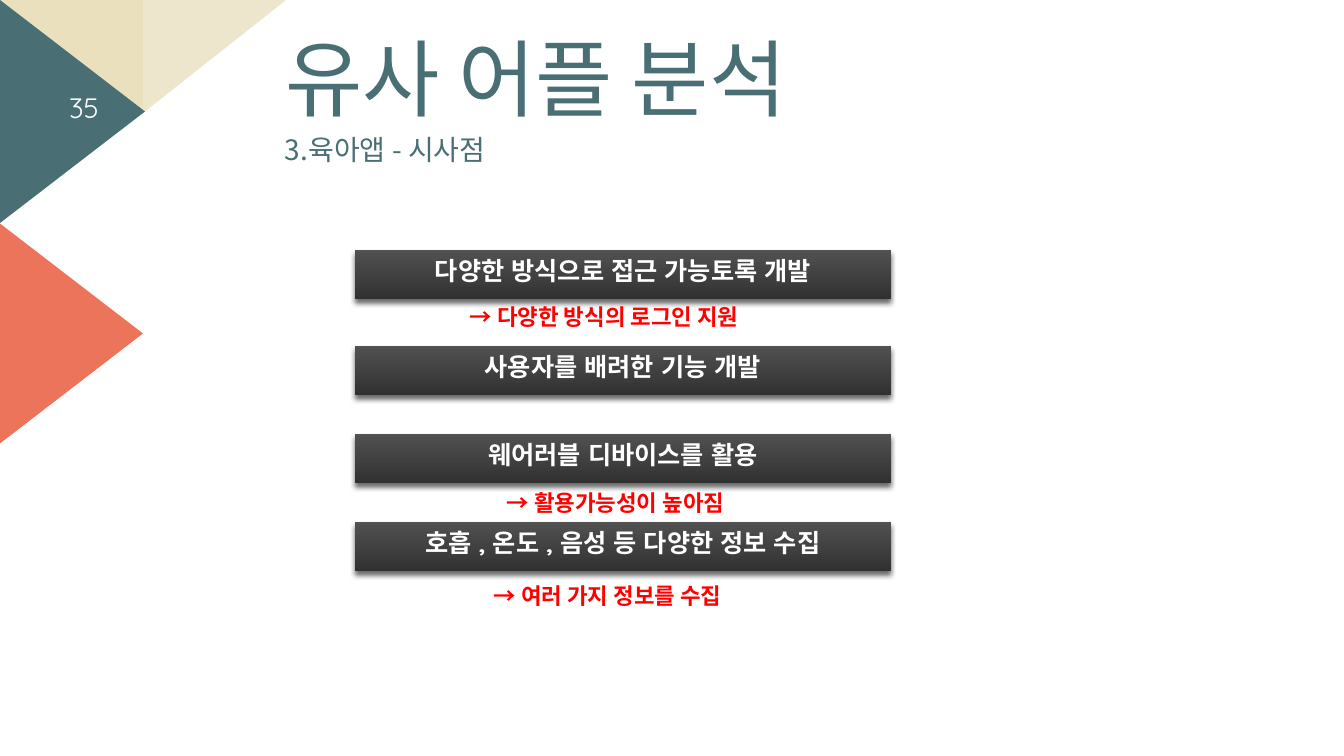
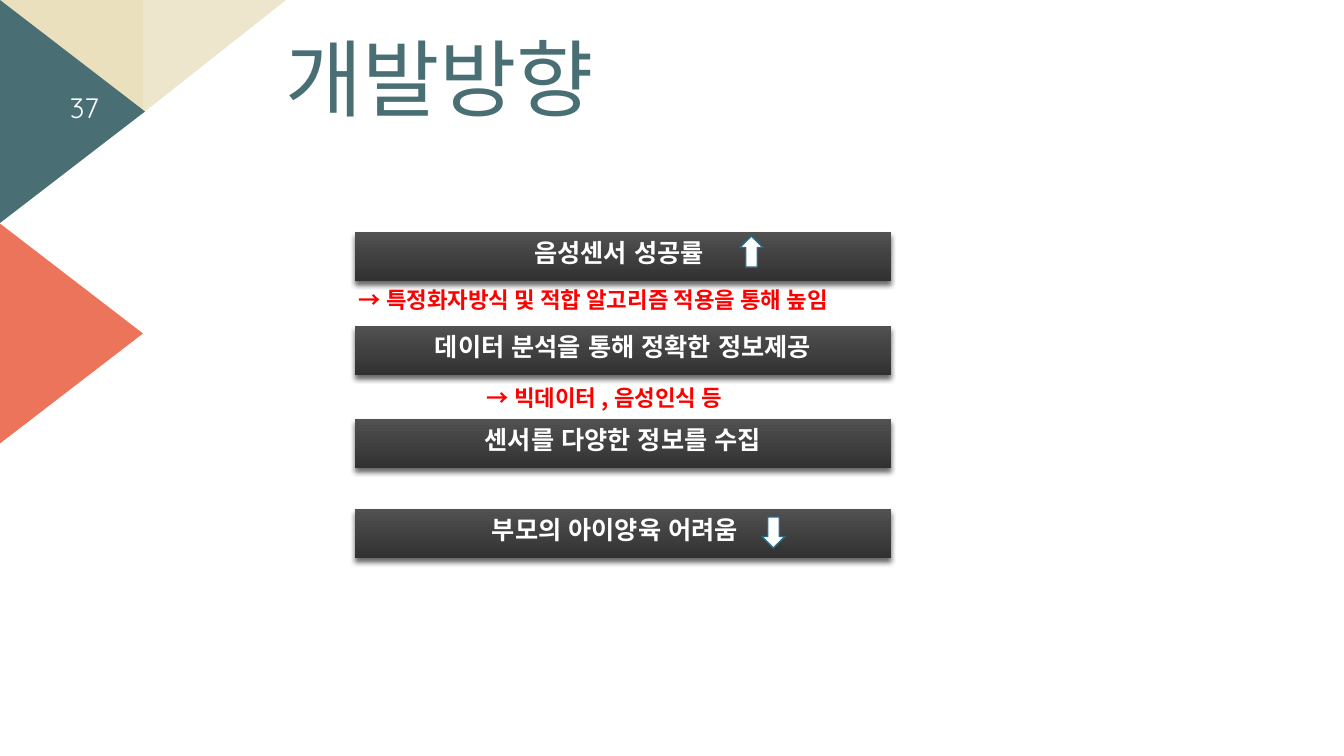
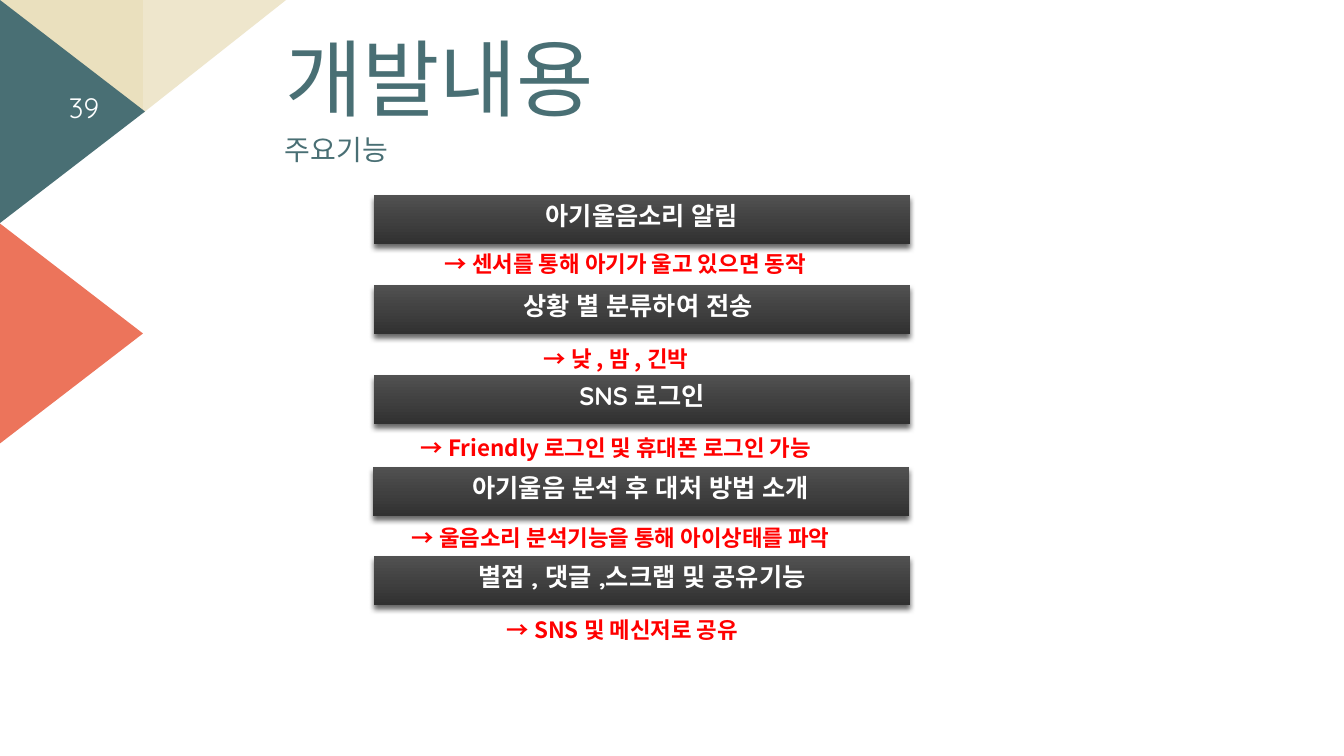
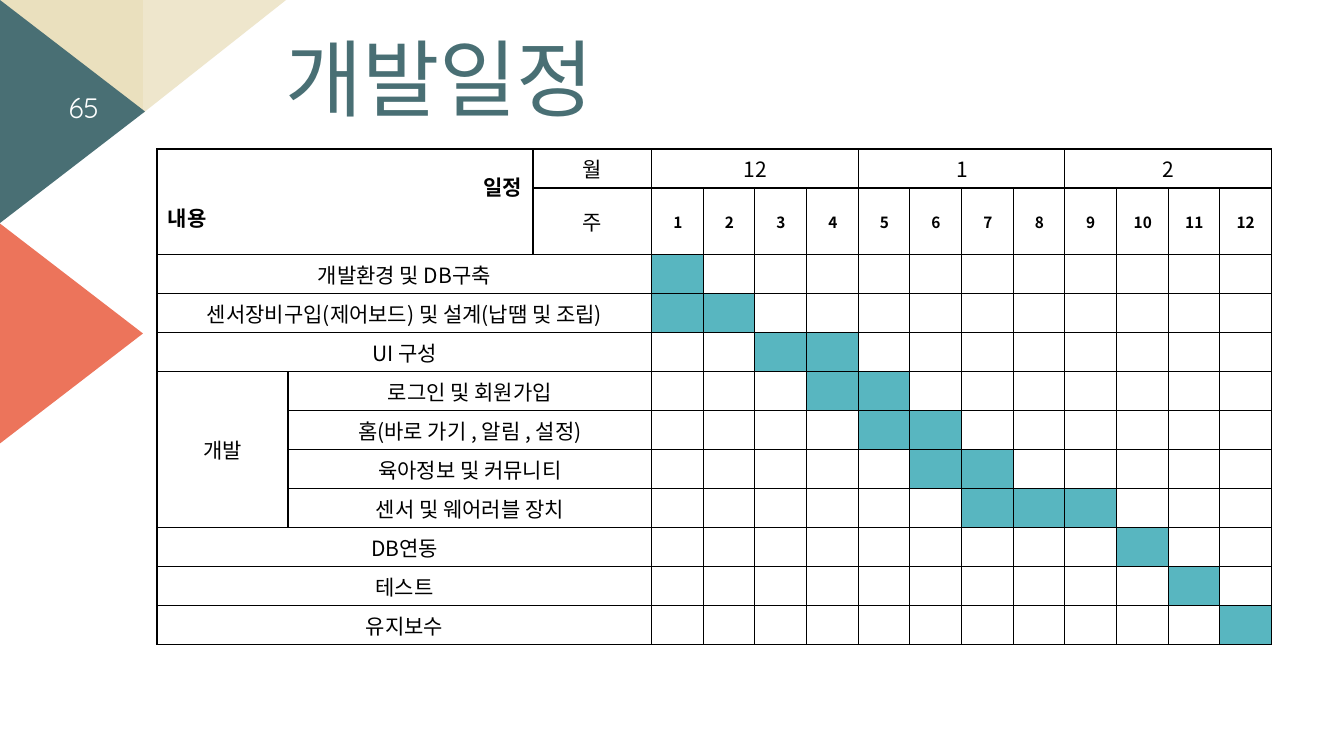
from dataclasses import dataclass
from typing import Optional

from lxml.etree import SubElement
from pptx import Presentation
from pptx.dml.color import RGBColor
from pptx.enum.shapes import MSO_SHAPE as Preset
from pptx.enum.text import MSO_ANCHOR as Anchor, MSO_AUTO_SIZE as AutoSize, PP_ALIGN as Align
from pptx.oxml.ns import qn
from pptx.util import Emu, Pt

SLIDE_WIDTH, SLIDE_HEIGHT = 1344, 756
EMU_PER_PX = 12192000 / SLIDE_WIDTH

COLORS = {
    "teal": "496F74",
    "coral": "EC745B",
    "sand": "EAE0BE",
    "pale_sand": "EEE6CC",
    "bar_top": "515151",
    "bar_bottom": "313131",
    "white": "FFFFFF",
    "number": "FEFFFF",
    "note": "FF0000",
    "arrow_line": "266D8A",
    "black": "000000",
    "schedule": "58B6C0",
}
KOREAN_FONT = "Noto Sans CJK KR"
LATIN_FONT = "Quicksand"
BAR_WIDTH, BAR_HEIGHT = 536, 49


@dataclass(frozen=True)
class Box:
    left: int
    top: int
    width: int
    height: int


@dataclass(frozen=True)
class TextStyle:
    size: int
    color: str
    font: str = KOREAN_FONT
    bold: bool = False
    align: Align = Align.LEFT
    line_spacing: Optional[float] = None


@dataclass(frozen=True)
class Corner:
    preset: Preset
    box: Box
    rotation: int
    color: str
    flipped: bool = False


@dataclass(frozen=True)
class Bar:
    text: str
    top: int
    left: int = 355
    extra_right_inset: int = 0


@dataclass(frozen=True)
class Note:
    text: str
    left: int
    top: int
    width: int


@dataclass(frozen=True)
class Arrow:
    preset: Preset
    left: int
    top: int


@dataclass(frozen=True)
class Page:
    number: int
    title: str
    subtitle: str = ""
    bars: tuple[Bar, ...] = ()
    notes: tuple[Note, ...] = ()
    arrows: tuple[Arrow, ...] = ()


@dataclass(frozen=True)
class Task:
    text: str
    first_week: int
    last_week: int
    in_development: bool = False


TITLE_BOX = Box(275, 33, 891, 130)
SUBTITLE_BOX = Box(275, 131, 450, 62)
NUMBER_BOX = Box(44, 87, 65, 40)

TITLE_STYLE = TextStyle(60, "teal", line_spacing=0.9)
SUBTITLE_STYLE = TextStyle(20, "teal", line_spacing=0.9)
NUMBER_STYLE = TextStyle(20, "number", LATIN_FONT, align=Align.RIGHT)
BAR_STYLE = TextStyle(18, "white", LATIN_FONT, True, Align.CENTER)
NOTE_STYLE = TextStyle(16, "note", bold=True)
CELL_STYLE = TextStyle(15, "black", align=Align.CENTER)
WEEK_STYLE = TextStyle(11, "black", bold=True, align=Align.CENTER)
HEAD_LEFT_STYLE = TextStyle(15, "black", bold=True)
HEAD_RIGHT_STYLE = TextStyle(15, "black", bold=True, align=Align.RIGHT)

CORNERS = (
    Corner(Preset.RIGHT_TRIANGLE, Box(0, 0, 143, 113), 180, "sand"),
    Corner(Preset.RIGHT_TRIANGLE, Box(143, 0, 143, 113), 180, "pale_sand", True),
    Corner(Preset.ISOSCELES_TRIANGLE, Box(-39, 39, 223, 145), 90, "teal"),
    Corner(Preset.ISOSCELES_TRIANGLE, Box(-41, 261, 223, 145), 90, "coral"),
)

PAGES = (
    Page(
        35, "유사 어플 분석", "3.육아앱 - 시사점",
        bars=(
            Bar("다양한 방식으로 접근 가능토록 개발", 250),
            Bar("사용자를 배려한 기능 개발", 346),
            Bar("웨어러블 디바이스를 활용", 434),
            Bar("호흡 , 온도 , 음성 등 다양한 정보 수집", 522),
        ),
        notes=(
            Note("→ 다양한 방식의 로그인 지원", 460, 298, 323),
            Note("→ 활용가능성이 높아짐", 497, 484, 262),
            Note("→ 여러 가지 정보를 수집", 484, 577, 278),
        ),
    ),
    Page(
        37, "개발방향",
        bars=(
            Bar("음성센서 성공률", 232, extra_right_inset=8),
            Bar("데이터 분석을 통해 정확한 정보제공", 326),
            Bar("센서를 다양한 정보를 수집", 419),
            Bar("부모의 아이양육 어려움", 509, extra_right_inset=16),
        ),
        notes=(
            Note("→ 특정화자방식 및 적합 알고리즘 적용을 통해 높임", 349, 281, 550),
            Note("→ 빅데이터 , 음성인식 등", 477, 379, 291),
        ),
        arrows=(Arrow(Preset.UP_ARROW, 740, 236), Arrow(Preset.DOWN_ARROW, 762, 517)),
    ),
    Page(
        39, "개발내용", "주요기능",
        bars=(
            Bar("아기울음소리 알림", 195, 374),
            Bar("상황 별 분류하여 전송", 285, 374, 8),
            Bar("SNS 로그인", 375, 374),
            Bar("아기울음 분석 후 대처 방법 소개", 467, 373),
            Bar("별점 , 댓글 ,스크랩 및 공유기능", 556, 374),
        ),
        notes=(
            Note("→ 센서를 통해 아기가 울고 있으면 동작", 435, 245, 429),
            Note("→ 낮 , 밤 , 긴박", 534, 340, 216),
            Note("→ Friendly 로그인 및 휴대폰 로그인 가능", 411, 429, 463),
            Note("→ 울음소리 분석기능을 통해 아이상태를 파악", 402, 519, 489),
            Note("→ SNS 및 메신저로 공유", 497, 611, 276),
        ),
    ),
)
SCHEDULE_PAGE = Page(65, "개발일정")

TASKS = (
    Task("개발환경 및 DB구축", 1, 1),
    Task("센서장비구입(제어보드) 및 설계(납땜 및 조립)", 1, 2),
    Task("UI 구성", 3, 4),
    Task("로그인 및 회원가입", 4, 5, True),
    Task("홈(바로 가기 , 알림 , 설정)", 5, 6, True),
    Task("육아정보 및 커뮤니티", 6, 7, True),
    Task("센서 및 웨어러블 장치", 7, 9, True),
    Task("DB연동", 10, 10),
    Task("테스트", 11, 11),
    Task("유지보수", 12, 12),
)
MONTHS = ("12", "1", "2")
WEEKS_PER_MONTH = 4
WEEK_COUNT = len(MONTHS) * WEEKS_PER_MONTH
WEEKS_WIDTH = 620
LABEL_WIDTHS = (131, 245, 119)
FIRST_WEEK_COLUMN = len(LABEL_WIDTHS)
HEADER_HEIGHTS = (39, 61)
TASK_HEIGHT = 39


def px(length: int) -> Emu:
    return Emu(round(length * EMU_PER_PX))


def rgb(name: str) -> RGBColor:
    return RGBColor.from_string(COLORS[name])


def place(box: Box) -> tuple[Emu, Emu, Emu, Emu]:
    return px(box.left), px(box.top), px(box.width), px(box.height)


def style_paragraph(paragraph, style: TextStyle) -> None:
    paragraph.alignment = style.align
    paragraph.space_before = Pt(0)
    if style.line_spacing:
        paragraph.line_spacing = style.line_spacing
    for run in paragraph.runs:
        run.font.size = Pt(style.size)
        run.font.bold = style.bold
        run.font.name = style.font
        run.font.color.rgb = rgb(style.color)
        east_asian = SubElement(run.font._element, qn("a:ea"))
        east_asian.set("typeface", style.font)


def write(frame, text: str, style: TextStyle, anchor: Anchor = Anchor.TOP) -> None:
    frame.text = text
    frame.word_wrap = True
    frame.auto_size = AutoSize.NONE
    frame.vertical_anchor = anchor
    style_paragraph(frame.paragraphs[0], style)


def add_text(slide, box: Box, text: str, style: TextStyle, anchor: Anchor = Anchor.TOP) -> None:
    write(slide.shapes.add_textbox(*place(box)).text_frame, text, style, anchor)


def add_corner(slide, corner: Corner) -> None:
    shape = slide.shapes.add_shape(corner.preset, *place(corner.box))
    shape.shadow.inherit = False
    shape.rotation = corner.rotation
    shape.fill.solid()
    shape.fill.fore_color.rgb = rgb(corner.color)
    shape.line.fill.background()
    if corner.flipped:
        shape.element.spPr.xfrm.set("flipH", "1")


def add_drop_shadow(shape) -> None:
    shape.shadow.inherit = False
    effects = shape.element.spPr.find(qn("a:effectLst"))
    shadow = SubElement(effects, qn("a:outerShdw"), blurRad=str(Pt(4)), dist=str(Pt(3)),
                        dir="5400000", rotWithShape="0")
    color = SubElement(shadow, qn("a:srgbClr"), val=COLORS["black"])
    SubElement(color, qn("a:alpha"), val="60000")


def add_bar(slide, bar: Bar) -> None:
    box = Box(bar.left, bar.top, BAR_WIDTH, BAR_HEIGHT)
    shape = slide.shapes.add_shape(Preset.RECTANGLE, *place(box))
    shape.fill.gradient()
    shape.fill.gradient_angle = 270
    for stop, color in zip(shape.fill.gradient_stops, ("bar_top", "bar_bottom")):
        stop.color.rgb = rgb(color)
    shape.line.fill.background()
    add_drop_shadow(shape)
    write(shape.text_frame, bar.text, BAR_STYLE)
    shape.text_frame.margin_right = px(10 + bar.extra_right_inset)


def add_arrow(slide, arrow: Arrow) -> None:
    shape = slide.shapes.add_shape(arrow.preset, *place(Box(arrow.left, arrow.top, 23, 31)))
    shape.shadow.inherit = False
    shape.fill.solid()
    shape.fill.fore_color.rgb = rgb("white")
    shape.line.color.rgb = rgb("arrow_line")
    shape.line.width = Pt(1)


def add_page(presentation, page: Page):
    """Add a slide with the shared decoration, title and page number."""
    slide = presentation.slides.add_slide(presentation.slide_layouts[5])
    for corner in CORNERS:
        add_corner(slide, corner)
    title = slide.shapes.title
    title.left, title.top, title.width, title.height = place(TITLE_BOX)
    write(title.text_frame, page.title, TITLE_STYLE)
    if page.subtitle:
        add_text(slide, SUBTITLE_BOX, page.subtitle, SUBTITLE_STYLE)
    add_text(slide, NUMBER_BOX, str(page.number), NUMBER_STYLE, Anchor.MIDDLE)
    for bar in page.bars:
        add_bar(slide, bar)
    for note in page.notes:
        add_text(slide, Box(note.left, note.top, note.width, 37), note.text, NOTE_STYLE)
    for arrow in page.arrows:
        add_arrow(slide, arrow)
    return slide


def format_cell(cell) -> None:
    """Give a cell its insets, black borders and an empty fill."""
    cell.vertical_anchor = Anchor.MIDDLE
    cell.margin_left = cell.margin_right = px(11)
    cell.margin_top = cell.margin_bottom = px(3)
    properties = cell._tc.get_or_add_tcPr()
    for side in ("a:lnL", "a:lnR", "a:lnT", "a:lnB"):
        line = SubElement(properties, qn(side), w=str(Pt(1)))
        fill = SubElement(line, qn("a:solidFill"))
        SubElement(fill, qn("a:srgbClr"), val=COLORS["black"])
    cell.fill.background()
    SubElement(cell.text_frame.paragraphs[0]._p, qn("a:endParaRPr"), sz="1100")


def write_cell(cell, text: str, *styles: TextStyle) -> None:
    """Write one line of text per style."""
    cell.text_frame.text = text
    for paragraph, style in zip(cell.text_frame.paragraphs, styles):
        style_paragraph(paragraph, style)


def merge(table, top: int, left: int, bottom: int, right: int):
    cell = table.cell(top, left)
    cell.merge(table.cell(bottom, right))
    return cell


def add_schedule(slide) -> None:
    heights = HEADER_HEIGHTS + (TASK_HEIGHT,) * len(TASKS)
    edges = [round(week * WEEKS_WIDTH / WEEK_COUNT) for week in range(WEEK_COUNT + 1)]
    widths = LABEL_WIDTHS + tuple(end - start for start, end in zip(edges, edges[1:]))
    box = Box(157, 149, sum(widths), sum(heights))
    table = slide.shapes.add_table(len(heights), len(widths), *place(box)).table
    table.first_row = table.horz_banding = False
    for column, width in zip(table.columns, widths):
        column.width = px(width)
    for row, height in zip(table.rows, heights):
        row.height = px(height)
    for cell in table.iter_cells():
        format_cell(cell)

    write_cell(merge(table, 0, 0, 1, 1), "일정\n내용", HEAD_RIGHT_STYLE, HEAD_LEFT_STYLE)
    write_cell(table.cell(0, 2), "월", CELL_STYLE)
    write_cell(table.cell(1, 2), "주", CELL_STYLE)
    for index, month in enumerate(MONTHS):
        left = FIRST_WEEK_COLUMN + index * WEEKS_PER_MONTH
        write_cell(merge(table, 0, left, 0, left + WEEKS_PER_MONTH - 1), month, CELL_STYLE)
    for week in range(WEEK_COUNT):
        write_cell(table.cell(1, FIRST_WEEK_COLUMN + week), str(week + 1), WEEK_STYLE)

    first_task_row = len(HEADER_HEIGHTS)
    development_rows = [row for row, task in enumerate(TASKS, first_task_row)
                        if task.in_development]
    development = merge(table, development_rows[0], 0, development_rows[-1], 0)
    write_cell(development, "개발", CELL_STYLE)
    for row, task in enumerate(TASKS, first_task_row):
        label = merge(table, row, int(task.in_development), row, FIRST_WEEK_COLUMN - 1)
        write_cell(label, task.text, CELL_STYLE)
        for week in range(task.first_week, task.last_week + 1):
            fill = table.cell(row, FIRST_WEEK_COLUMN + week - 1).fill
            fill.solid()
            fill.fore_color.rgb = rgb("schedule")


def main() -> None:
    presentation = Presentation()
    presentation.slide_width = px(SLIDE_WIDTH)
    presentation.slide_height = px(SLIDE_HEIGHT)
    for page in PAGES:
        add_page(presentation, page)
    add_schedule(add_page(presentation, SCHEDULE_PAGE))
    presentation.save("out.pptx")


if __name__ == "__main__":
    main()
